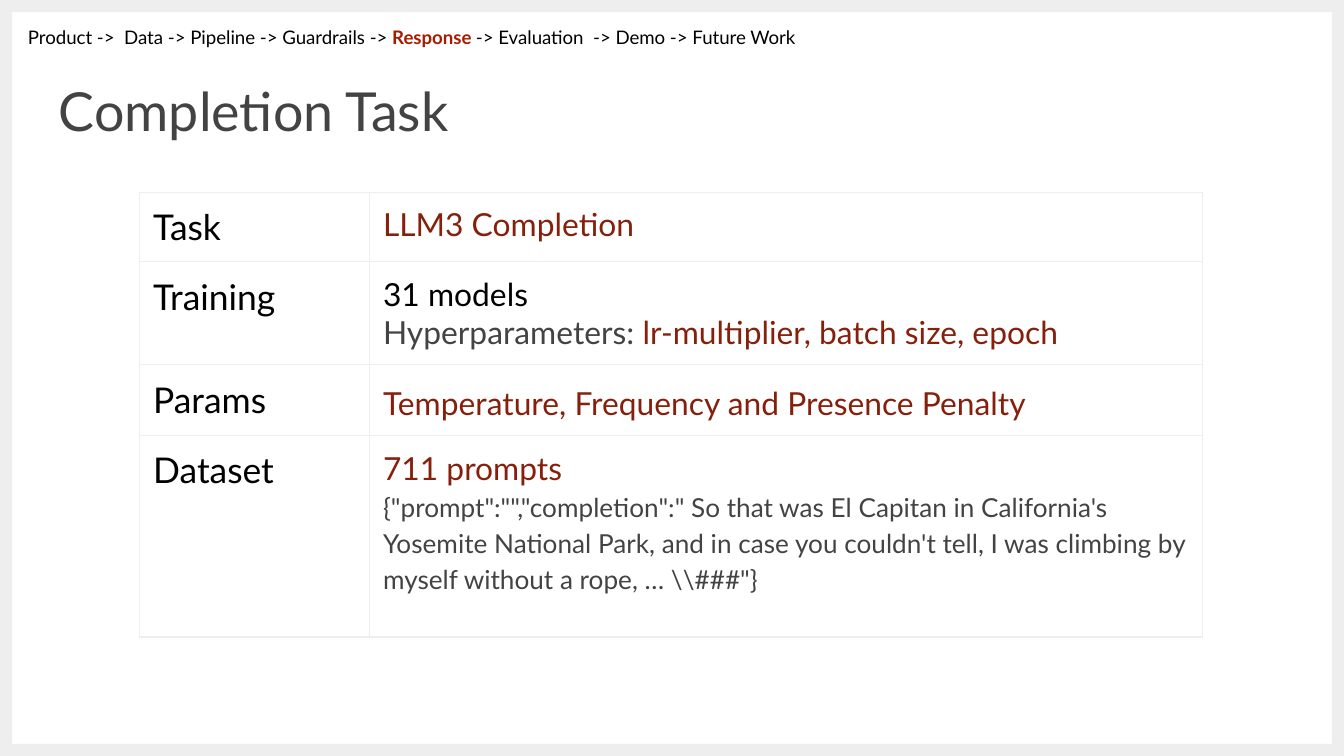
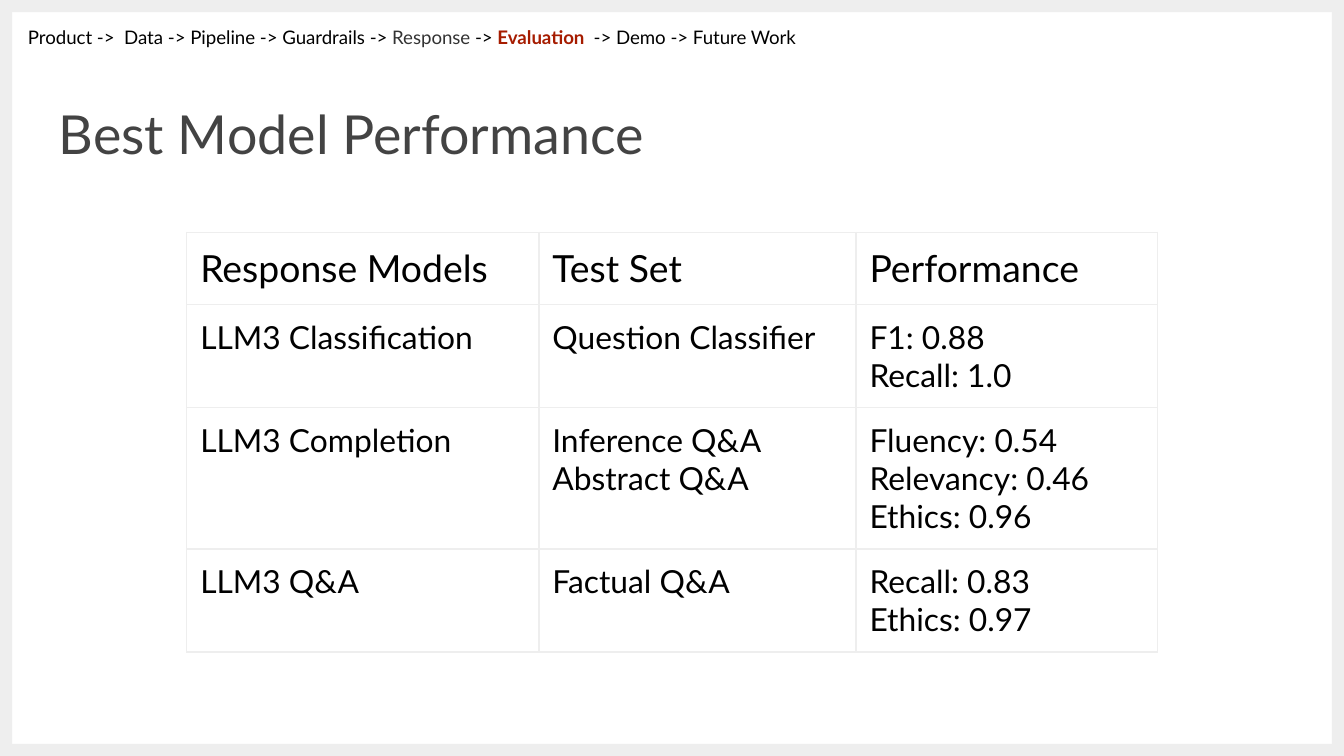
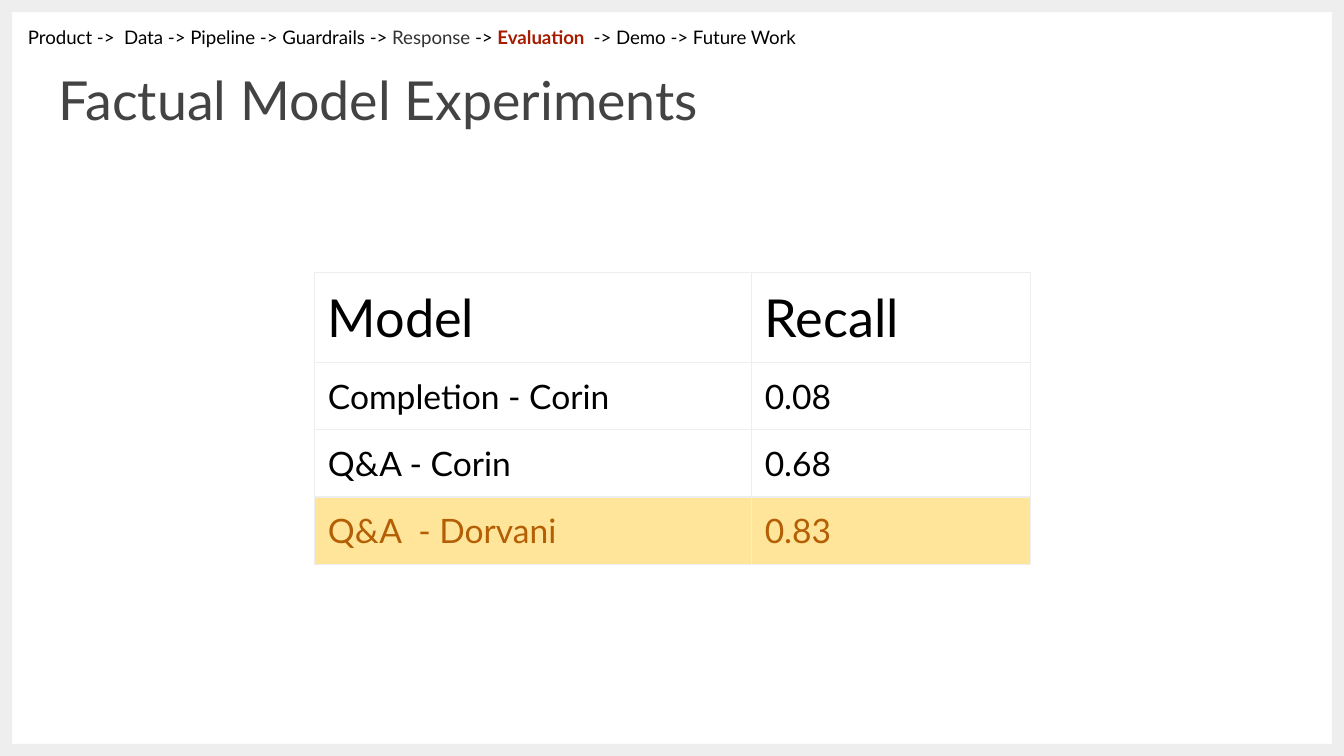
"""Build three slides on response models: the completion task, best performance and factual experiments."""
import pptx
import pptx.dml.color
import pptx.enum.shapes
import pptx.oxml
import pptx.oxml.ns
import pptx.util

COLORS = {
    "black": "000000", "title": "434343", "visited": "333333", "current": "A61C00",
    "accent": "85200C", "frame": "EEEEEE", "best": "B45F06", "best fill": "FFE599",
}
FONT = "Lato"
WIDTH, BAND = 10, 0.09
HEIGHT = WIDTH * 9 / 16
MARGIN = pptx.util.Inches(0.1)


def rgb(name):
    return pptx.dml.color.RGBColor.from_string(COLORS[name])


def write(frame, text, size=17, color="black", bold=False, join=False, spacing=None, after=None):
    for line in text.split("\n"):
        paragraph = frame.paragraphs[-1]
        if paragraph.runs and not join:
            paragraph = frame.add_paragraph()
        if spacing:
            paragraph.line_spacing = spacing
        if after:
            paragraph.space_after = pptx.util.Pt(after)
        for index, part in enumerate(line.split("\v")):
            if index:
                paragraph.add_line_break()
            run = paragraph.add_run()
            run.text = part
            run.font.name = FONT
            run.font.size = pptx.util.Pt(size)
            run.font.bold = bold
            run.font.color.rgb = rgb(color)


deck = pptx.Presentation()
deck.slide_width = pptx.util.Inches(WIDTH)
deck.slide_height = pptx.util.Inches(HEIGHT)

bands = [
    (0, 0, BAND, HEIGHT),
    (0, 0, WIDTH - BAND, BAND),
    (BAND, HEIGHT - BAND, WIDTH - BAND, BAND),
    (WIDTH - BAND, 0, BAND, HEIGHT),
]
trail = ["Product ->  Data -> Pipeline -> Guardrails -> ", "Response ", "-> ",
         "Evaluation ", " -> Demo -> Future Work"]
pages = [
    ("Completion Task", 0.48, "Response ", (1.04, 1.43), [1.71, 6.2], [0.49, 0.72, 0.49, 1.5]),
    ("Best Model Performance", 0.65, "Evaluation ", (1.39, 1.73), [2.62, 2.36, 2.24], [0.42, 0.77, 0.77, 0.48]),
    ("Factual Model Experiments", 0.4, "Evaluation ", (2.34, 2.03), [3.25, 2.08], [0.42] * 4),
]
grids = []

for title, title_top, current, corner, columns, rows in pages:
    slide = deck.slides.add_slide(deck.slide_layouts[6])
    for box in bands:
        band = slide.shapes.add_shape(pptx.enum.shapes.MSO_SHAPE.RECTANGLE, *map(pptx.util.Inches, box))
        band.shadow.inherit = False
        band.fill.solid()
        band.fill.fore_color.rgb = rgb("frame")
        band.line.fill.background()

    area = (*corner, sum(columns), sum(rows))
    grid = slide.shapes.add_table(len(rows), len(columns), *map(pptx.util.Inches, area)).table
    grid.first_row = grid.horz_banding = False
    for column, width in zip(grid.columns, columns):
        column.width = pptx.util.Inches(width)
    for row, height in zip(grid.rows, rows):
        row.height = pptx.util.Inches(height)
    for cell in grid.iter_cells():
        cell.margin_left = cell.margin_right = cell.margin_top = cell.margin_bottom = MARGIN
        properties = cell._tc.get_or_add_tcPr()
        for side in ("lnL", "lnR", "lnT", "lnB"):
            properties.append(pptx.oxml.parse_xml(
                f'<a:{side} {pptx.oxml.ns.nsdecls("a")} w="9525"><a:solidFill>'
                f'<a:srgbClr val="{COLORS["frame"]}"/></a:solidFill></a:{side}>'))
        cell.fill.background()
    grids.append(grid)

    frames = []
    for box in [(0.34, title_top, 9.32, 0.63), (0.11, 0.11, 9.05, 0.37)]:
        frame = slide.shapes.add_textbox(*map(pptx.util.Inches, box)).text_frame
        frame.word_wrap = True
        frame.margin_left = frame.margin_right = frame.margin_top = frame.margin_bottom = MARGIN
        frames.append(frame)
    heading, breadcrumb = frames
    write(heading, title, size=28.8, color="title")
    for step in trail:
        color = "current" if step == current else "visited" if step == "Response " else "black"
        write(breadcrumb, step, size=10, color=color, bold=step == current, join=True)

task, performance, experiments = grids

for row, label in enumerate(["Task", "Training", "Params", "Dataset"]):
    write(task.cell(row, 0).text_frame, label, size=19)
goal, training, params, dataset = [task.cell(row, 1).text_frame for row in range(4)]
write(goal, "LLM3 Completion", color="accent")
write(training, "31 models")
write(training, "Hyperparameters: ", color="title")
write(training, "lr-multiplier, batch size, epoch", color="accent", join=True)
write(params, "Temperature, Frequency and Presence Penalty", color="accent", spacing=1.15, after=12)
write(dataset, "711 prompts", color="accent")
write(dataset, '{"prompt":"","completion":" So that was El Capitan in California\'s Yosemite National Park, '
      'and in case you couldn\'t tell, I was climbing by myself without a rope, … \\\\###"}',
      size=14, color="title", spacing=1.15, after=12)

results = [
    ["Response Models", "Test Set", "Performance"],
    ["LLM3 Classification", "Question Classifier", "F1: 0.88\vRecall: 1.0"],
    ["LLM3 Completion", "Inference Q&A\vAbstract Q&A", "Fluency: 0.54\nRelevancy: 0.46\nEthics: 0.96"],
    ["LLM3 Q&A", "Factual Q&A", "Recall: 0.83\nEthics: 0.97"],
]
recalls = [
    ["Model", "Recall"],
    ["Completion - Corin", "0.08"],
    ["Q&A - Corin", "0.68"],
    ["Q&A  - Dorvani", "0.83"],
]
best = recalls[-1]
for grid, records, head_size, body_size in [(performance, results, 20, 17), (experiments, recalls, 28, 18)]:
    for row, record in enumerate(records):
        for column, text in enumerate(record):
            cell = grid.cell(row, column)
            write(cell.text_frame, text, size=body_size if row else head_size,
                  color="best" if record is best else "black")
            if record is best:
                cell.fill.solid()
                cell.fill.fore_color.rgb = rgb("best fill")

deck.save("out.pptx")
